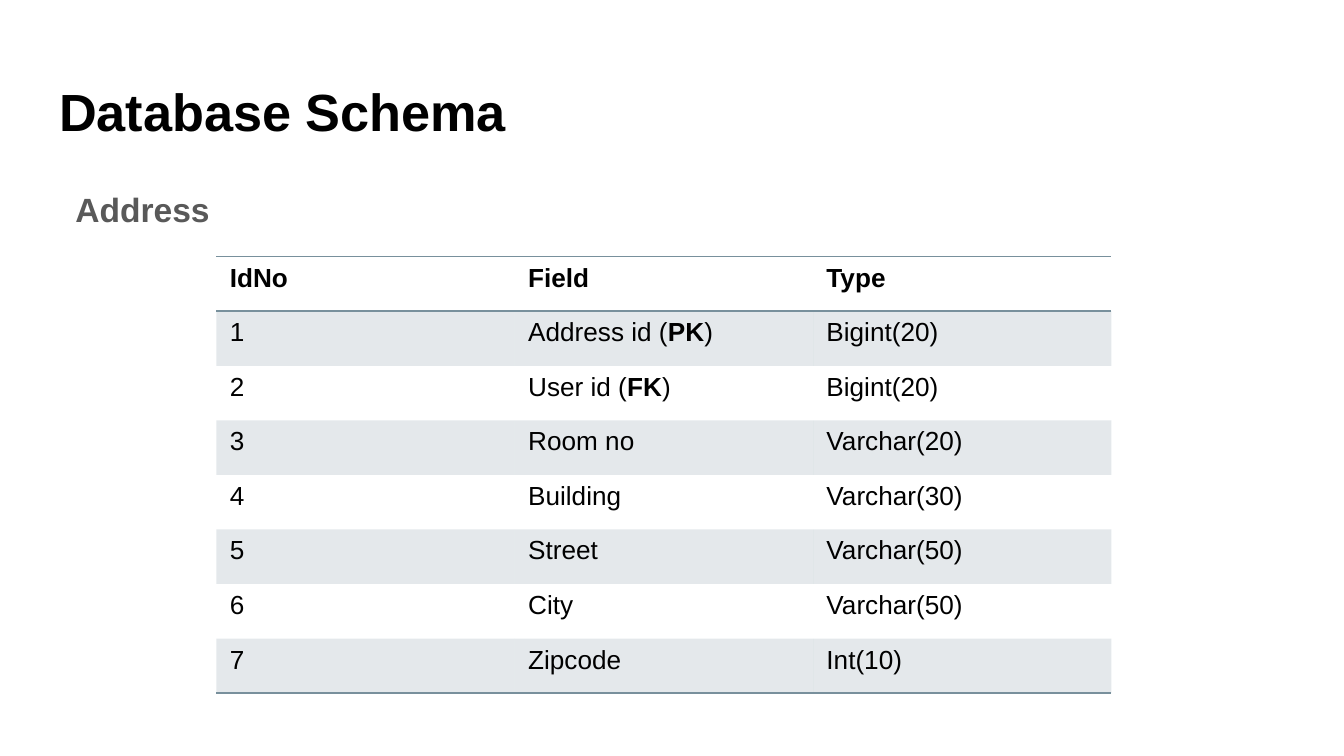
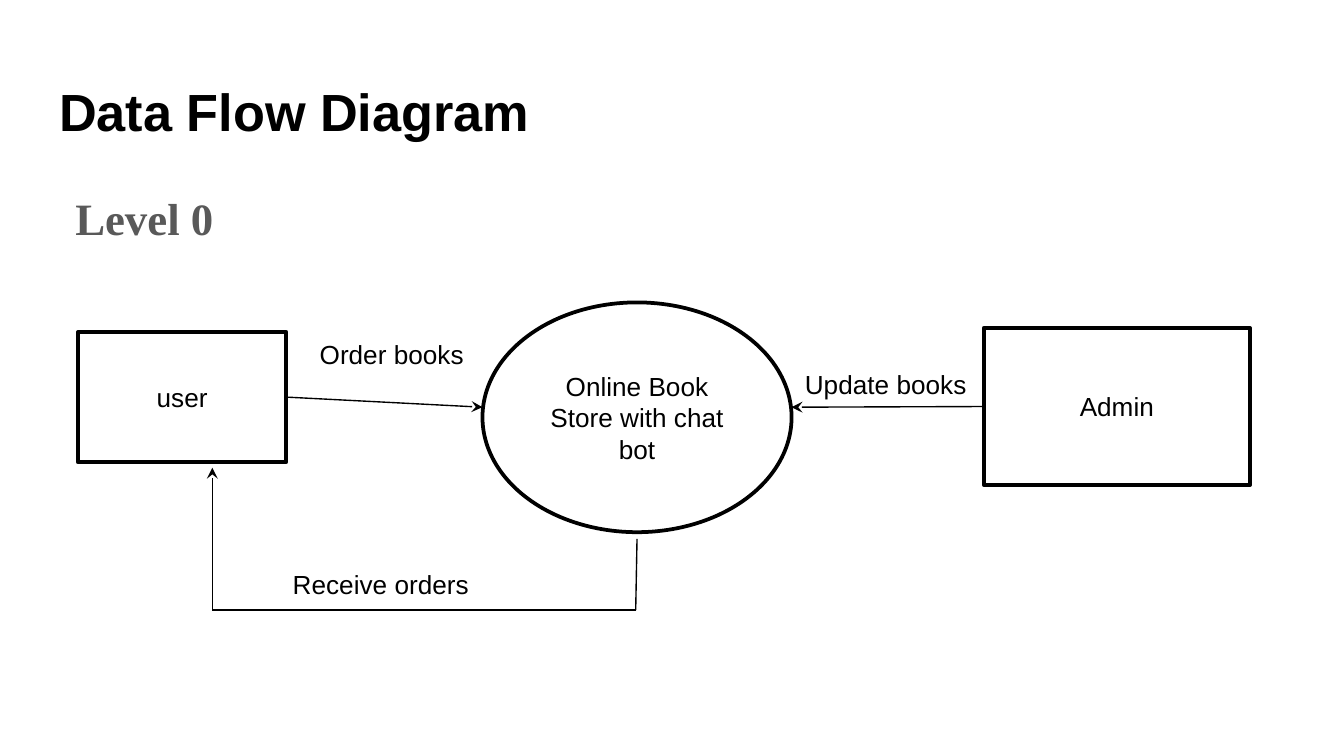
from dataclasses import dataclass
from typing import Any, Optional

from lxml.etree import SubElement
from pptx import Presentation
from pptx.dml.color import RGBColor
from pptx.enum.shapes import MSO_CONNECTOR, MSO_SHAPE
from pptx.enum.text import MSO_ANCHOR, MSO_AUTO_SIZE, PP_ALIGN
from pptx.oxml.ns import qn
from pptx.util import Emu, Inches, Pt

# Page grid: 100 columns wide, with square cells
PAGE_WIDTH = Inches(10)
PAGE_HEIGHT = PAGE_WIDTH * 9 // 16
CELL = PAGE_WIDTH / 100

# Colours
BLACK = RGBColor(0x00, 0x00, 0x00)
WHITE = RGBColor(0xFF, 0xFF, 0xFF)
GREY = RGBColor(0x59, 0x59, 0x59)
SLATE = RGBColor(0x78, 0x90, 0x9C)

# Text formats
TITLE_FORMAT = {"name": "Arial", "size": Pt(28), "bold": True}
HEADING_FORMAT = {"name": "Arial", "size": Pt(18), "bold": True}
LEVEL_FORMAT = {"name": "Times New Roman", "size": Pt(24), "bold": True}
PLAIN_FORMAT = {"name": "Arial", "size": Pt(14), "bold": False}
HEADER_FORMAT = {**PLAIN_FORMAT, "bold": True}

NO_GRID_STYLE = "{2D5ABB26-0587-4C30-8999-92F81FD0307C}"


@dataclass(frozen=True)
class Area:
    """A place on the page, in grid columns and rows."""
    column: float
    row: float
    columns: float
    rows: float

    def lengths(self) -> list[Emu]:
        return [grid(n) for n in (self.column, self.row, self.columns, self.rows)]


@dataclass(frozen=True)
class Node:
    text: str
    kind: Any
    area: Area


@dataclass(frozen=True)
class Flow:
    start: tuple[float, float]
    end: tuple[float, float]
    arrow: bool = True
    source: Optional[str] = None
    side: int = 0


@dataclass(frozen=True)
class Label:
    text: str
    area: Area


TITLE_AREA = Area(3.4, 4.9, 93.2, 6.3)
BODY_AREA = Area(3.4, 12.6, 93.2, 37.4)

# Address table
TABLE_CORNER = (16.1, 19.1)
COLUMN_WIDTH, ROW_HEIGHT = 22.2, 4.06
HEADER = ("IdNo", "Field", "Type")
FIELDS = (
    ("Address id (*PK*)", "Bigint(20)"),
    ("User id (*FK*)", "Bigint(20)"),
    ("Room no", "Varchar(20)"),
    ("Building", "Varchar(30)"),
    ("Street", "Varchar(50)"),
    ("City", "Varchar(50)"),
    ("Zipcode", "Int(10)"),
)

# Data flow diagram
NODES = (
    Node("Online Book Store with chat bot", MSO_SHAPE.OVAL, Area(35.9, 22.5, 23, 17.1)),
    Node("user", MSO_SHAPE.RECTANGLE, Area(5.8, 24.7, 15.5, 9.7)),
    Node("Admin", MSO_SHAPE.RECTANGLE, Area(73.2, 24.4, 19.8, 11.7)),
)
FLOWS = (
    Flow((73.2, 30.3), (58.9, 30.3), source="Admin", side=1),
    Flow((21.3, 29.5), (35.9, 30.3), source="user", side=3),
    Flow((47.4, 40.1), (47.3, 45.4), arrow=False),
    Flow((15.8, 45.4), (47.3, 45.4), arrow=False),
    Flow((15.8, 45.4), (15.8, 34.8)),
)
LABELS = (
    Label("Order books", Area(22.8, 24.7, 14.1, 3.4)),
    Label("Update books", Area(58.9, 26.9, 18.2, 3.4)),
    Label("Receive orders", Area(20.8, 41.8, 20.7, 3.4)),
)


def grid(count: float) -> Emu:
    return Emu(round(count * CELL))


def write(frame: Any, text: str, formats: dict, colour: RGBColor = BLACK,
          align: Any = PP_ALIGN.LEFT) -> Any:
    """Write one paragraph; words between asterisks are bold."""
    para = frame.paragraphs[0]
    para.alignment = align
    for index, piece in enumerate(text.split("*")):
        span = para.add_run()
        span.text = piece
        for name, value in formats.items():
            setattr(span.font, name, value)
        if index % 2:
            span.font.bold = True
        span.font.color.rgb = colour
    return para


def place(box: Any, area: Area) -> Any:
    """Move a placeholder and return its text frame with even margins."""
    box.left, box.top, box.width, box.height = area.lengths()
    frame = box.text_frame
    settings = {"auto_size": MSO_AUTO_SIZE.NONE, "word_wrap": True,
                "vertical_anchor": MSO_ANCHOR.TOP}
    settings |= {f"margin_{side}": grid(1) for side in ("left", "top", "right", "bottom")}
    for name, value in settings.items():
        setattr(frame, name, value)
    return frame


def add_page(deck: Any, title: str, heading: str, heading_format: dict) -> Any:
    page = deck.slides.add_slide(deck.slide_layouts[1])
    write(place(page.shapes.title, TITLE_AREA), title, TITLE_FORMAT)
    para = write(place(page.placeholders[1], BODY_AREA), heading, heading_format, GREY)
    para.line_spacing = 1.15
    para.space_before = Pt(0)
    # Indent without a bullet
    properties = para._p.get_or_add_pPr()
    properties.set("marL", str(grid(1.2)))
    properties.set("indent", "0")
    SubElement(properties, qn("a:buNone"))
    return page


def add_border(cell: Any, edge: str) -> None:
    line = SubElement(cell._tc.get_or_add_tcPr(), qn(f"a:{edge}"), w=str(Pt(1)))
    fill = SubElement(line, qn("a:solidFill"))
    SubElement(fill, qn("a:srgbClr"), val=str(SLATE))


def shade(cell: Any) -> None:
    cell.fill.solid()
    cell.fill.fore_color.rgb = SLATE
    colour = cell._tc.tcPr.find(f".//{qn('a:solidFill')}[last()]/{qn('a:srgbClr')}") \
        if cell._tc.tcPr.find(qn("a:solidFill")) is None \
        else cell._tc.tcPr.find(qn("a:solidFill")).find(qn("a:srgbClr"))
    SubElement(colour, qn("a:alpha"), val="20000")


def add_field_table(page: Any) -> None:
    rows = [HEADER] + [(str(number), *field) for number, field in enumerate(FIELDS, 1)]
    area = Area(*TABLE_CORNER, COLUMN_WIDTH * len(HEADER), ROW_HEIGHT * len(rows))
    holder = page.shapes.add_table(len(rows), len(HEADER), *area.lengths())
    holder.element.find(f".//{qn('a:tableStyleId')}").text = NO_GRID_STYLE
    table = holder.table
    table.first_row = table.horz_banding = False
    for row, texts in enumerate(rows):
        for column, text in enumerate(texts):
            cell = table.cell(row, column)
            write(cell.text_frame, text, PLAIN_FORMAT if row else HEADER_FORMAT)
            # Rules around the header and under the last row
            if row == 0:
                add_border(cell, "lnT")
            if row in (0, len(rows) - 1):
                add_border(cell, "lnB")
            # Bands on odd rows
            if row % 2:
                shade(cell)
            else:
                cell.fill.background()


def add_node(page: Any, node: Node) -> Any:
    box = page.shapes.add_shape(node.kind, *node.area.lengths())
    box.shadow.inherit = False
    box.fill.solid()
    box.fill.fore_color.rgb = WHITE
    box.line.color.rgb = BLACK
    box.line.width = Pt(2)
    box.text_frame.word_wrap = True
    box.text_frame.vertical_anchor = MSO_ANCHOR.MIDDLE
    write(box.text_frame, node.text, PLAIN_FORMAT, align=PP_ALIGN.CENTER)
    return box


def add_flow(page: Any, flow: Flow, boxes: dict[str, Any]) -> None:
    ends = [grid(n) for n in (*flow.start, *flow.end)]
    connector = page.shapes.add_connector(MSO_CONNECTOR.STRAIGHT, *ends)
    if flow.source:
        connector.begin_connect(boxes[flow.source], flow.side)
    connector.line.color.rgb = BLACK
    connector.line.width = Pt(0.75)
    properties = connector.element.spPr
    if flow.arrow:
        SubElement(properties.find(qn("a:ln")), qn("a:tailEnd"), type="stealth")
    SubElement(properties, qn("a:effectLst"))


def add_label(page: Any, label: Label) -> None:
    frame = page.shapes.add_textbox(*label.area.lengths()).text_frame
    frame.word_wrap = True
    frame.auto_size = MSO_AUTO_SIZE.SHAPE_TO_FIT_TEXT
    write(frame, label.text, PLAIN_FORMAT)


def main() -> None:
    deck = Presentation()
    deck.slide_width, deck.slide_height = PAGE_WIDTH, Emu(PAGE_HEIGHT)

    # Slide 1: schema of the address table
    page = add_page(deck, "Database Schema", "Address", HEADING_FORMAT)
    add_field_table(page)

    # Slide 2: level 0 data flow
    page = add_page(deck, "Data Flow Diagram", "Level 0", LEVEL_FORMAT)
    boxes = {node.text: add_node(page, node) for node in NODES}
    for flow in FLOWS:
        add_flow(page, flow, boxes)
    for label in LABELS:
        add_label(page, label)

    deck.save("out.pptx")


if __name__ == "__main__":
    main()
